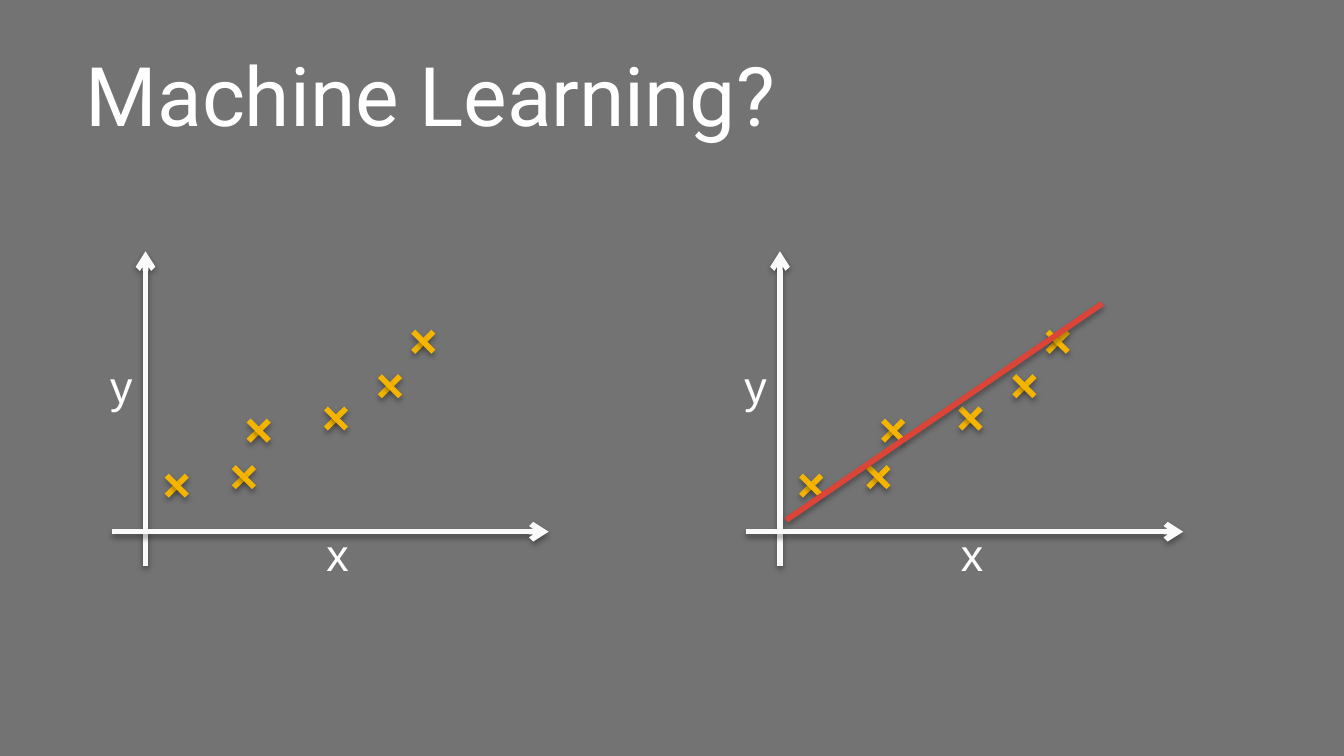
from lxml.etree import SubElement
from pptx import Presentation
from pptx.dml.color import RGBColor
from pptx.enum.shapes import MSO_CONNECTOR
from pptx.enum.text import MSO_ANCHOR, MSO_AUTO_SIZE, PP_ALIGN
from pptx.oxml.ns import qn
from pptx.util import Cm, Pt

WHITE, AXIS, CROSS, TREND = "FFFFFF", "FAFAFA", "F4B400", "DB4437"
OBSERVATIONS = [(1.23, 4.43), (2.5, 4.27), (2.78, 3.39),
                (4.24, 3.16), (5.26, 2.55), (5.89, 1.71)]
CROSS_ARM = 0.19
AXIS_OFFSET = 0.64


def colour(hex_value):
    return RGBColor.from_string(hex_value)


def add_shadow(connector):
    effects = SubElement(connector._element.spPr, qn("a:effectLst"))
    shadow = SubElement(effects, qn("a:outerShdw"), blurRad=str(Pt(3.1)),
                        dist=str(Pt(1.8)), dir="5400000", algn="ctr", rotWithShape="0")
    black = SubElement(shadow, qn("a:srgbClr"), val="000000")
    SubElement(black, qn("a:alpha"), val="35000")


def add_line(shapes, start, end, hex_value, arrow=False):
    connector = shapes.add_connector(
        MSO_CONNECTOR.STRAIGHT, *(Cm(length) for length in (*start, *end)))
    connector.line.color.rgb = colour(hex_value)
    connector.line.width = Pt(3)
    if arrow:
        SubElement(connector.line._get_or_add_ln(), qn("a:tailEnd"), type="arrow")
    add_shadow(connector)


def add_axis_label(shapes, left, top, name):
    label = shapes.add_textbox(Cm(left), Cm(top), Cm(0.94), Cm(1.27))
    frame = label.text_frame
    frame.word_wrap = False
    frame.auto_size = MSO_AUTO_SIZE.SHAPE_TO_FIT_TEXT
    frame.text = name
    font = frame.paragraphs[0].font
    font.name, font.size = "Arial", Pt(24)
    font.color.rgb = colour(WHITE)


def add_plot(shapes, left, top, width, height, with_trend=False):
    axis_x, axis_y = left + AXIS_OFFSET, top + height - AXIS_OFFSET
    add_line(shapes, (axis_x, top + height), (axis_x, top), AXIS, arrow=True)
    add_line(shapes, (left, axis_y), (left + width, axis_y), AXIS, arrow=True)
    add_axis_label(shapes, left - 0.28, top + 1.9, "y")
    add_axis_label(shapes, left + 3.81, top + 5.08, "x")

    crosses = shapes.add_group_shape()
    for x, y in OBSERVATIONS:
        for arm in (CROSS_ARM, -CROSS_ARM):
            add_line(crosses.shapes,
                     (left + x - arm, top + y + CROSS_ARM),
                     (left + x + arm, top + y - CROSS_ARM), CROSS)
    if with_trend:
        add_line(shapes, (left + 0.76, top + 5.08), (left + 6.73, top + 0.99), TREND)


def place_title(title, left, top, width, height):
    title.left, title.top = Cm(left), Cm(top)
    title.width, title.height = Cm(width), Cm(height)
    frame = title.text_frame
    frame.text = "Machine Learning?"
    frame.word_wrap = True
    frame.vertical_anchor = MSO_ANCHOR.MIDDLE
    frame.margin_left = frame.margin_right = Cm(0.25)
    frame.margin_top = frame.margin_bottom = Cm(0.25)
    heading = frame.paragraphs[0]
    heading.alignment = PP_ALIGN.LEFT
    heading.font.name, heading.font.size = "Roboto", Pt(44)
    heading.font.color.rgb = colour(WHITE)


def main():
    presentation = Presentation()
    presentation.slide_width, presentation.slide_height = Cm(25.4), Cm(14.29)
    slide = presentation.slides.add_slide(presentation.slide_layouts[5])
    slide.background.fill.solid()
    slide.background.fill.fore_color.rgb = colour("737373")

    place_title(slide.shapes.title, 1.37, 0.43, 22.63, 2.67)
    add_plot(slide.shapes, 2.11, 4.75, 8.26, 5.94)
    add_plot(slide.shapes, 14.1, 4.75, 8.26, 5.94, with_trend=True)
    presentation.save("out.pptx")


if __name__ == "__main__":
    main()
